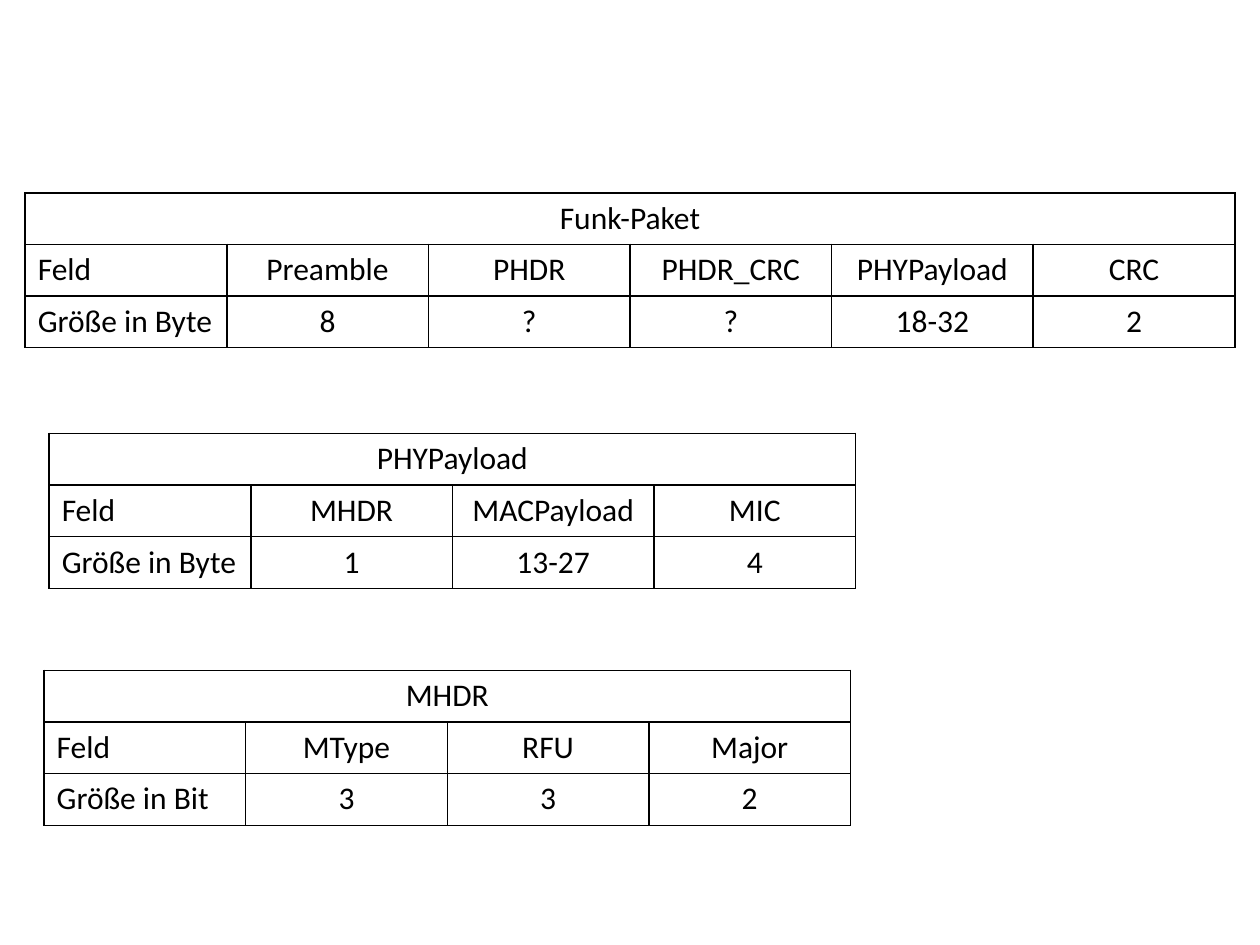
from dataclasses import dataclass

from lxml.etree import SubElement
from pptx import Presentation
from pptx.dml.color import RGBColor
from pptx.enum.text import PP_ALIGN
from pptx.oxml.ns import qn
from pptx.util import Inches, Pt


@dataclass(frozen=True)
class Theme:
    """Colours, type and line sizes of the deck."""

    font: str = "Calibri"
    size: int = 18
    ink: str = "000000"
    border: int = 1
    column: float = 1.6
    row: float = 0.41


class PacketSlide:
    """Holds the theme and the slide that receives the field tables."""

    def __init__(self, slide, theme):
        self.slide = slide
        self.theme = theme

    def add_borders(self, cell):
        """Draw a solid line on all four sides of a cell."""
        properties = cell._tc.get_or_add_tcPr()
        for side in ("a:lnL", "a:lnR", "a:lnT", "a:lnB"):
            line = SubElement(properties, qn(side), w=str(Pt(self.theme.border)))
            fill = SubElement(line, qn("a:solidFill"))
            SubElement(fill, qn("a:srgbClr"), val=self.theme.ink)

    def write_cell(self, cell, text, align):
        """Put formatted text in a cell."""
        para = cell.text_frame.paragraphs[0]
        para.alignment = align
        span = para.add_run()
        span.text = text
        formats = {"name": self.theme.font, "size": Pt(self.theme.size), "bold": False}
        for name, value in formats.items():
            setattr(span.font, name, value)
        span.font.color.rgb = RGBColor.from_string(self.theme.ink)

    def add_field_table(self, left, top, title, unit, fields):
        """Add a table with a merged title row, field names and field sizes."""
        rows = [[title], ["Feld", *fields], [f"Größe in {unit}", *fields.values()]]
        count = len(fields) + 1
        width, height = self.theme.column * count, self.theme.row * len(rows)
        table = self.slide.shapes.add_table(
            len(rows), count, Inches(left), Inches(top), Inches(width), Inches(height)
        ).table
        for name in ("first_row", "horz_banding"):
            setattr(table, name, False)
        for cell in table.iter_cells():
            self.add_borders(cell)
            cell.fill.background()
        table.cell(0, 0).merge(table.cell(0, count - 1))
        for row, texts in enumerate(rows):
            for column, text in enumerate(texts):
                label = row > 0 and column == 0
                align = PP_ALIGN.LEFT if label else PP_ALIGN.CENTER
                self.write_cell(table.cell(row, column), text, align)


def main():
    """Build the deck with its three field tables."""
    deck = Presentation()
    deck.slide_width, deck.slide_height = Inches(10), Inches(7.5)
    page = PacketSlide(deck.slides.add_slide(deck.slide_layouts[6]), Theme())
    page.add_field_table(
        0.2, 1.53, "Funk-Paket", "Byte",
        {"Preamble": "8", "PHDR": "?", "PHDR_CRC": "?", "PHYPayload": "18-32", "CRC": "2"},
    )
    page.add_field_table(
        0.39, 3.44, "PHYPayload", "Byte", {"MHDR": "1", "MACPayload": "13-27", "MIC": "4"}
    )
    page.add_field_table(
        0.35, 5.32, "MHDR", "Bit", {"MType": "3", "RFU": "3", "Major": "2"}
    )
    deck.save("out.pptx")


if __name__ == "__main__":
    main()
